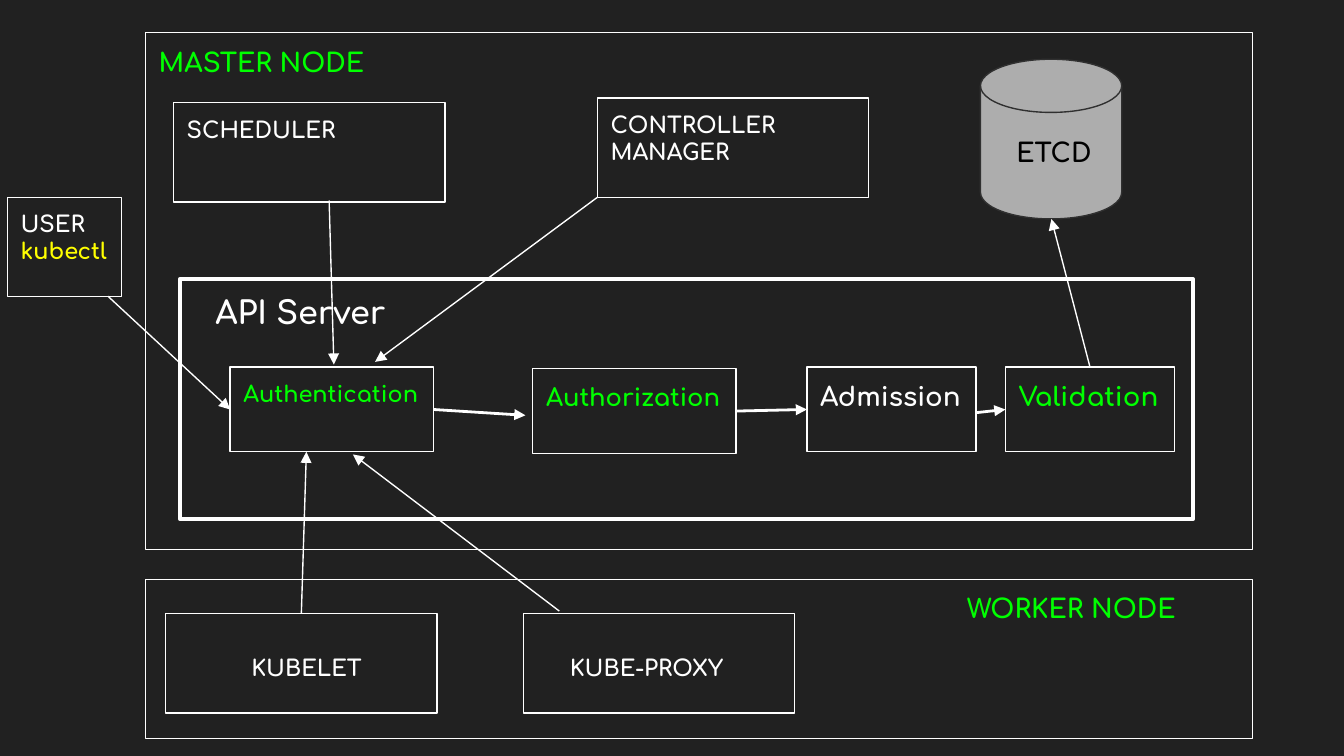
from dataclasses import dataclass
from typing import Optional

from lxml import etree
from pptx import Presentation
from pptx import util as u
from pptx.dml.color import RGBColor
from pptx.enum import shapes, text
from pptx.oxml import ns

FONT = "Comfortaa"
WHITE, GREEN, YELLOW = "FFFFFF", "00FF00", "FFFF00"
BLACK, GREY, CHARCOAL, BACKGROUND = "000000", "ADADAD", "303030", "212121"
TOP, LEFT, BOTTOM, RIGHT = range(4)
INSET = 0.25
STEP_TOP, STEP_HEIGHT = 6.94, 1.6
PART_WIDTH, PART_HEIGHT = 5.13, 1.88
WORKER_PART_TOP = 11.6


@dataclass
class Box:
    key: str
    left: float
    top: float
    width: float
    height: float
    lines: list[tuple[str, str]]
    size: float
    indent: float = INSET
    drop: float = INSET
    outline: str = WHITE
    weight: float = 0.75
    fill: Optional[str] = None
    kind: shapes.MSO_SHAPE = shapes.MSO_SHAPE.RECTANGLE
    anchor: text.MSO_ANCHOR = text.MSO_ANCHOR.TOP


@dataclass
class Arrow:
    start: tuple[float, float]
    end: tuple[float, float]
    weight: float = 0.75
    source: Optional[tuple[str, int]] = None
    target: Optional[tuple[str, int]] = None


def step(key: str, left: float, width: float, size: float,
         colour: str = GREEN, top: float = STEP_TOP) -> Box:
    return Box(key, left, top, width, STEP_HEIGHT, [(key, colour)], size)


def part(left: float, top: float, *lines: str, indent: float = INSET,
         drop: float = INSET) -> Box:
    return Box(lines[0], left, top, PART_WIDTH, PART_HEIGHT,
               [(line, WHITE) for line in lines], 12, indent, drop)


BOXES = [
    Box("Master", 2.75, 0.62, 20.92, 9.77, [("MASTER NODE", GREEN)], 14),
    Box("Store", 18.53, 1.12, 2.67, 3.02, [("ETCD", BLACK)], 14, indent=0.68,
        outline=CHARCOAL, fill=GREY,
        kind=shapes.MSO_SHAPE.FLOWCHART_MAGNETIC_DISK,
        anchor=text.MSO_ANCHOR.MIDDLE),
    Box("Server", 3.4, 5.28, 19.15, 4.53, [("API Server", WHITE)], 17,
        indent=0.67, weight=2.25),
    step("Authentication", 4.35, 3.84, 12),
    step("Authorization", 10.07, 3.84, 13, top=6.97),
    step("Admission", 15.25, 3.2, 14, WHITE),
    step("Validation", 19, 3.2, 14),
    part(3.28, 1.94, "SCHEDULER"),
    part(11.29, 1.85, "CONTROLLER", "MANAGER"),
    part(3.13, WORKER_PART_TOP, "KUBELET", indent=1.62, drop=0.76),
    part(9.89, WORKER_PART_TOP, "KUBE-PROXY", indent=0.88, drop=0.76),
    Box("User", 0.14, 3.73, 2.16, PART_HEIGHT,
        [("USER", WHITE), ("kubectl", YELLOW)], 12),
    Box("Worker", 2.75, 10.95, 20.92, 3.01, [("WORKER NODE", GREEN)], 14,
        indent=15.53),
]

ARROWS = [
    Arrow((8.19, 7.74), (9.93, 7.85), 1.5, source=("Authentication", RIGHT)),
    Arrow((13.91, 7.77), (15.25, 7.74), 1.5, ("Authorization", RIGHT),
          ("Admission", LEFT)),
    Arrow((18.45, 7.8), (19, 7.74), 1.5, target=("Validation", LEFT)),
    Arrow((6.22, 3.79), (6.31, 6.89)),
    Arrow((11.29, 3.73), (7.09, 6.84)),
    Arrow((5.7, 11.6), (5.79, 8.54), source=("KUBELET", TOP)),
    Arrow((10.57, 11.55), (6.67, 8.59)),
    Arrow((20.6, 6.94), (19.87, 4.14), source=("Validation", TOP)),
    Arrow((2.04, 5.6), (4.35, 7.74), target=("Authentication", LEFT)),
]


def paint(colour_format, colour: str) -> None:
    colour_format.rgb = RGBColor.from_string(colour)


def clear_placeholders(sheet) -> None:
    for holder in list(sheet.placeholders):
        sheet.shapes._spTree.remove(holder._element)


def draw_box(page, box: Box):
    shape = page.shapes.add_shape(box.kind, u.Cm(box.left), u.Cm(box.top),
                                  u.Cm(box.width), u.Cm(box.height))
    shape.shadow.inherit = False
    if box.fill:
        shape.fill.solid()
        paint(shape.fill.fore_color, box.fill)
    else:
        shape.fill.background()
    paint(shape.line.color, box.outline)
    shape.line.width = u.Pt(box.weight)
    frame = shape.text_frame
    frame.word_wrap = True
    frame.vertical_anchor = box.anchor
    frame.margin_left, frame.margin_top = u.Cm(box.indent), u.Cm(box.drop)
    frame.margin_right = frame.margin_bottom = u.Cm(INSET)
    for index, (words, colour) in enumerate(box.lines):
        para = frame.add_paragraph() if index else frame.paragraphs[0]
        para.alignment = text.PP_ALIGN.LEFT
        span = para.add_run()
        span.text = words
        span.font.name = FONT
        span.font.size = u.Pt(box.size)
        span.font.bold = True
        paint(span.font.color, colour)
    return shape


def draw_arrow(page, arrow: Arrow, drawn: dict) -> None:
    points = [u.Cm(value) for value in arrow.start + arrow.end]
    connector = page.shapes.add_connector(shapes.MSO_CONNECTOR.STRAIGHT, *points)
    if arrow.source:
        key, side = arrow.source
        connector.begin_connect(drawn[key], side)
    if arrow.target:
        key, side = arrow.target
        connector.end_connect(drawn[key], side)
    paint(connector.line.color, WHITE)
    connector.line.width = u.Pt(arrow.weight)
    line = connector.line._get_or_add_ln()
    etree.SubElement(line, ns.qn("a:tailEnd"), type="triangle")
    etree.SubElement(connector._element.spPr, ns.qn("a:effectLst"))


def main() -> None:
    deck = Presentation()
    deck.slide_width, deck.slide_height = u.Cm(25.4), u.Cm(14.29)
    blank = deck.slide_layouts[6]
    clear_placeholders(blank)
    clear_placeholders(deck.slide_master)
    page = deck.slides.add_slide(blank)
    page.background.fill.solid()
    paint(page.background.fill.fore_color, BACKGROUND)
    drawn = {box.key: draw_box(page, box) for box in BOXES}
    for arrow in ARROWS:
        draw_arrow(page, arrow, drawn)
    deck.save("out.pptx")


if __name__ == "__main__":
    main()
